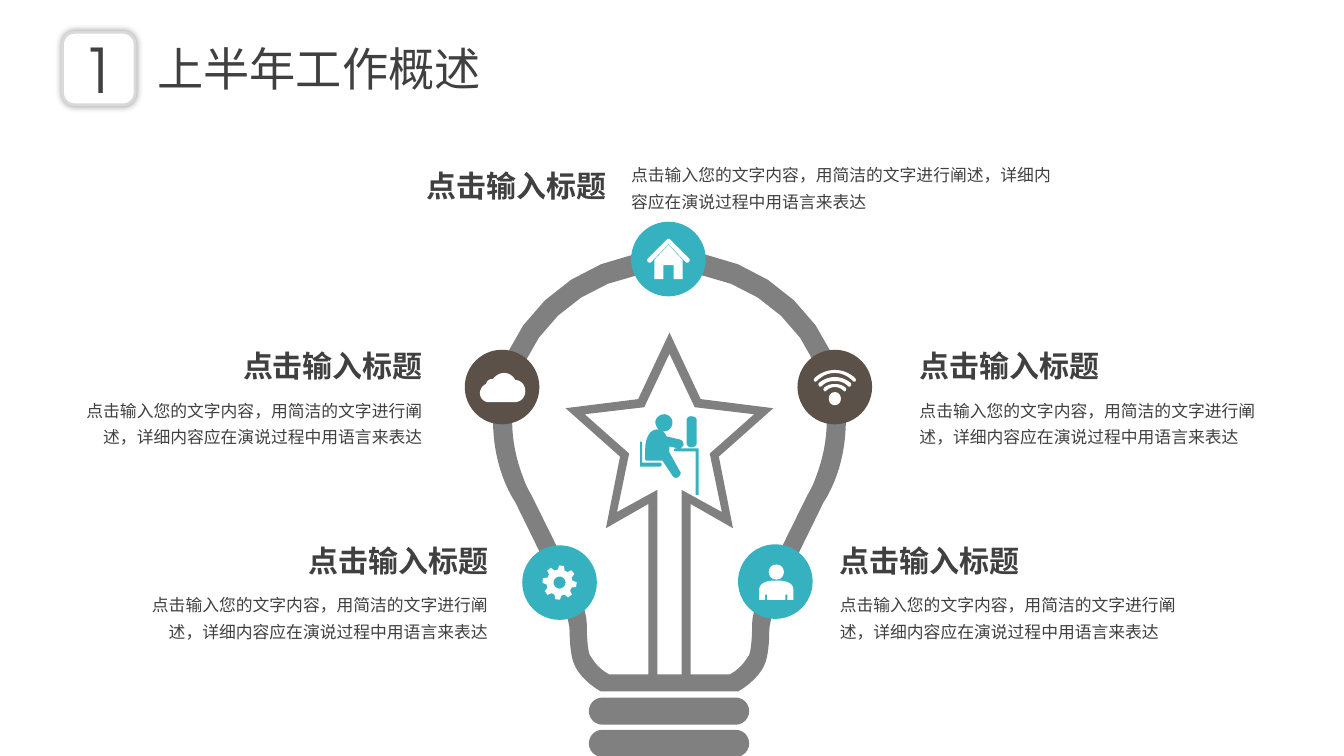
from dataclasses import dataclass
from math import cos, radians, sin

from lxml.etree import SubElement
from pptx import Presentation
from pptx.dml.color import RGBColor
from pptx.dml.fill import FillFormat
from pptx.enum.shapes import MSO_SHAPE
from pptx.enum.text import MSO_ANCHOR, MSO_AUTO_SIZE, PP_ALIGN
from pptx.oxml.ns import qn
from pptx.shapes.autoshape import Shape
from pptx.text.text import TextFrame
from pptx.util import Inches, Pt

Points = list[tuple[float, float]]

TEAL, BROWN, GRAY, WHITE, INK = "36B1C0", "5B5149", "808080", "FFFFFF", "404040"
LATIN, HAN = "TeX Gyre Adventor", "Noto Sans CJK SC"
HEAD = "点击输入标题"
BODY = "点击输入您的文字内容，用简洁的文字进行阐述，详细内容应在演说过程中用语言来表达"
FLUSH = {"margin_left": 0, "margin_right": 0, "margin_top": 0, "margin_bottom": 0,
         "word_wrap": True, "vertical_anchor": MSO_ANCHOR.TOP}
STEPS = 8


@dataclass
class Node:
    left: float
    top: float
    color: str
    icon: list[Points]


@dataclass
class Note:
    edge: float
    top: float
    align: PP_ALIGN


def paint(fill: FillFormat, code: str) -> None:
    fill.solid()
    fill.fore_color.rgb = RGBColor.from_string(code)


def trace(text: str) -> Points:
    points: Points = []
    for part in text.split("/"):
        nums = [float(word) for word in part.split()]
        pairs = list(zip(nums[::2], nums[1::2]))
        if len(pairs) == 1:
            points += pairs
            continue
        a, b, c, d = points[-1], *pairs
        for step in range(1, STEPS + 1):
            t = step / STEPS
            u = 1 - t
            points.append(tuple(u**3 * a[i] + 3 * u * u * t * b[i] + 3 * u * t * t * c[i] + t**3 * d[i]
                                for i in (0, 1)))
    return points


def fold(text: str) -> Points:
    half = trace(text)
    axis = half[0][0]
    return half + [(2 * axis - x, y) for x, y in reversed(half)]


def ring(x: float, y: float, spokes: list[tuple[float, float]]) -> Points:
    return [(x + r * sin(radians(a)), y - r * cos(radians(a))) for a, r in spokes]


def gear(x: float, y: float) -> list[Points]:
    tooth = ((-15, 0.13), (-8, 0.17), (8, 0.17), (15, 0.13))
    teeth = [(turn + a, r) for turn in range(7, 360, 45) for a, r in tooth]
    return [ring(x, y, teeth), ring(x, y, [(a, 0.06) for a in range(0, 360, 15)])]


def draw(loops: list[Points], code: str) -> None:
    scaled = [[(Inches(x), Inches(y)) for x, y in loop] for loop in loops]
    pen = shapes.build_freeform(*scaled[0][0], scale=1.0)
    for loop in scaled:
        pen.move_to(*loop[0])
        pen.add_line_segments(loop[1:], close=True)
    finish(pen.convert_to_shape(), code)


def finish(shape: Shape, code: str) -> Shape:
    shape.shadow.inherit = False
    paint(shape.fill, code)
    shape.line.fill.background()
    return shape


def place(kind: MSO_SHAPE, box: tuple[float, ...], code: str) -> Shape:
    return finish(shapes.add_shape(kind, *map(Inches, box)), code)


def write(frame: TextFrame, text: str, size: float, align: PP_ALIGN, layout: dict,
          face: str = LATIN, bold: bool = False, pitch: float | None = None) -> None:
    for name, value in layout.items():
        setattr(frame, name, value)
    line = frame.paragraphs[0]
    line.alignment = align
    if pitch:
        line.line_spacing = Pt(pitch)
    run = line.add_run()
    run.text = text
    for name, value in {"size": Pt(size), "bold": bold, "name": face}.items():
        setattr(run.font, name, value)
    paint(run.font.fill, INK)
    SubElement(run.font._element, qn("a:ea"), typeface=HAN)


def label(box: tuple[float, ...], text: str, size: float, align: PP_ALIGN,
          bold: bool = False, pitch: float | None = None) -> None:
    frame = shapes.add_textbox(*map(Inches, box)).text_frame
    write(frame, text, size, align, FLUSH, bold=bold, pitch=pitch)


def head(left: float, top: float, align: PP_ALIGN) -> None:
    label((left, top, 2.32, 0.36), HEAD, 21.4, align, bold=True)


def body(left: float, top: float, width: float, align: PP_ALIGN) -> None:
    label((left, top, width, 0.51), BODY, 12, align, pitch=19)


BULB = [fold(text) for text in (
    "6.64 2.49/5.68 2.49 4.89 3.24 4.89 4.16/4.89 4.39 4.93 4.6 5.01 4.79/5.04 4.86 5.07 4.92 5.11 4.98"
    "/5.56 5.9/5.56 5.9 5.65 6.16 5.65 6.26/5.65 6.36 5.66 6.52 5.7 6.6/5.72 6.65 5.8 6.77 5.96 6.86",
    "6.64 3.51/6.39 4.04/5.8 4.11/6.24 4.5/6.12 5.08/6.52 4.86/6.52 6.69",
    "6.64 2.7/5.77 2.7 5.08 3.36 5.08 4.18/5.08 4.37 5.12 4.56 5.19 4.74/5.21 4.8 5.24 4.86 5.27 4.91"
    "/5.7 5.78/5.7 5.81 5.82 6.04 5.82 6.19/5.82 6.32 5.83 6.45 5.85 6.5/5.87 6.52 5.91 6.62 6.04 6.69"
    "/6.43 6.69/6.43 5/6.01 5.24/6.15 4.53/5.61 4.05/6.33 3.96/6.64 3.3")]
WORKER = [trace(text) for text in (
    "6.7 4.45/6.93 4.45/6.93 4.91/6.9 4.91/6.9 4.48/6.7 4.48/6.68 4.48 6.68 4.45 6.7 4.45",
    "6.35 4.38/6.37 4.39/6.37 4.59/6.54 4.59/6.57 4.59 6.57 4.63 6.54 4.63/6.35 4.63",
    "6.85 4.13/6.88 4.13 6.91 4.14 6.91 4.17/6.91 4.4/6.91 4.42 6.88 4.44 6.85 4.44"
    "/6.84 4.44 6.81 4.42 6.81 4.4/6.81 4.17/6.81 4.14 6.84 4.13 6.85 4.13",
    "6.59 4.11/6.63 4.11 6.67 4.15 6.67 4.19/6.67 4.24 6.63 4.28 6.59 4.28/6.56 4.28"
    "/6.58 4.28 6.6 4.3 6.61 4.33/6.74 4.36/6.75 4.36 6.78 4.38 6.78 4.41/6.77 4.44 6.75 4.45 6.73 4.45"
    "/6.64 4.43/6.64 4.49/6.74 4.67/6.76 4.69 6.75 4.71 6.73 4.73/6.71 4.75 6.68 4.74 6.67 4.72"
    "/6.57 4.57/6.41 4.57/6.4 4.56/6.4 4.45/6.4 4.34 6.45 4.26 6.52 4.26/6.54 4.27"
    "/6.52 4.25 6.5 4.22 6.5 4.19/6.5 4.15 6.54 4.11 6.59 4.11")]
HOME = [fold(text) for text in (
    "6.63 2.43/6.49 2.58/6.49 2.77/6.58 2.77/6.58 2.63",
    "6.63 2.37/6.62 2.37/6.43 2.56/6.4 2.59 6.44 2.62 6.46 2.6/6.63 2.42")]
WIFI = [fold(text) for text in (
    "8.28 3.89/8.2 3.89 8.2 4.02 8.28 4.02",
    "8.28 3.81/8.24 3.81 8.2 3.82 8.17 3.85/8.16 3.87 8.18 3.89 8.19 3.88/8.22 3.85 8.25 3.84 8.28 3.84",
    "8.28 3.74/8.23 3.74 8.17 3.76 8.12 3.8/8.11 3.82 8.13 3.85 8.15 3.83/8.19 3.79 8.23 3.78 8.28 3.78",
    "8.28 3.67/8.21 3.67 8.13 3.7 8.08 3.75/8.06 3.77 8.08 3.8 8.1 3.78/8.15 3.73 8.21 3.7 8.28 3.7")]
PERSON = [fold(text) for text in (
    "7.7 5.6/7.6 5.6 7.6 5.75 7.7 5.75",
    "7.7 5.76/7.67 5.76/7.64 5.76 7.53 5.77 7.53 5.85/7.53 5.95/7.59 5.95/7.59 5.9/7.61 5.9/7.61 5.95")]
CLOUD = [trace(
    "5.11 3.77/5.09 3.73 5.05 3.7 5 3.7/4.96 3.7 4.92 3.72 4.89 3.76/4.88 3.76/4.85 3.76 4.83 3.78 4.82 3.81"
    "/4.79 3.82 4.76 3.86 4.76 3.9/4.76 3.95 4.8 3.99 4.85 3.99/5.1 3.99/5.17 3.99 5.21 3.94 5.21 3.88"
    "/5.21 3.82 5.17 3.77 5.11 3.77")]
NODES = [Node(7.32, 5.4, TEAL, PERSON), Node(4.61, 3.47, BROWN, CLOUD), Node(7.91, 3.47, BROWN, WIFI),
         Node(5.18, 5.41, TEAL, gear(5.55, 5.78)), Node(6.26, 2.2, TEAL, HOME)]
NOTES = [Note(4.19, 3.45, PP_ALIGN.RIGHT), Note(4.84, 5.38, PP_ALIGN.RIGHT),
         Note(9.12, 3.45, PP_ALIGN.LEFT), Note(8.33, 5.38, PP_ALIGN.LEFT)]

deck = Presentation()
deck.slide_width, deck.slide_height = Inches(13.33), Inches(7.5)
slide = deck.slides.add_slide(deck.slide_layouts[5])
shapes = slide.shapes

title = shapes.title
spot = {"left": 1.46, "top": 0.35, "width": 3.44, "height": 0.66}
for name, value in spot.items():
    setattr(title, name, Inches(value))
write(title.text_frame, "上半年工作概述", 33, PP_ALIGN.LEFT,
      {"word_wrap": False, "auto_size": MSO_AUTO_SIZE.NONE, "vertical_anchor": MSO_ANCHOR.TOP}, face=HAN)

badge = place(MSO_SHAPE.ROUNDED_RECTANGLE, (0.62, 0.32, 0.72, 0.72), WHITE)
paint(badge.line.fill, "D9D9D9")
badge.line.width = Pt(2)
glow = SubElement(badge._element.spPr.find(qn("a:effectLst")), qn("a:outerShdw"), blurRad=str(Pt(5)), dist="0")
shade = SubElement(glow, qn("a:srgbClr"), val="000000")
SubElement(shade, qn("a:alpha"), val="40000")
write(badge.text_frame, "1", 44, PP_ALIGN.CENTER, {"vertical_anchor": MSO_ANCHOR.MIDDLE})

for row in range(2):
    bar = place(MSO_SHAPE.ROUNDED_RECTANGLE, (5.84, 6.92 + 0.32 * row, 1.59, 0.27), GRAY)
    bar.adjustments[0] = 0.5
draw(BULB, GRAY)
draw(WORKER, TEAL)
for node in NODES:
    place(MSO_SHAPE.OVAL, (node.left, node.top, 0.74, 0.74), node.color)
    draw(node.icon, WHITE)

for note in NOTES:
    back = note.align == PP_ALIGN.RIGHT
    head(note.edge - 2.32 * back, note.top, note.align)
    body(note.edge - 3.37 * back, note.top + 0.46, 3.37, note.align)
head(4.23, 1.66, PP_ALIGN.LEFT)
body(6.26, 1.57, 4.32, PP_ALIGN.LEFT)

deck.save("out.pptx")
